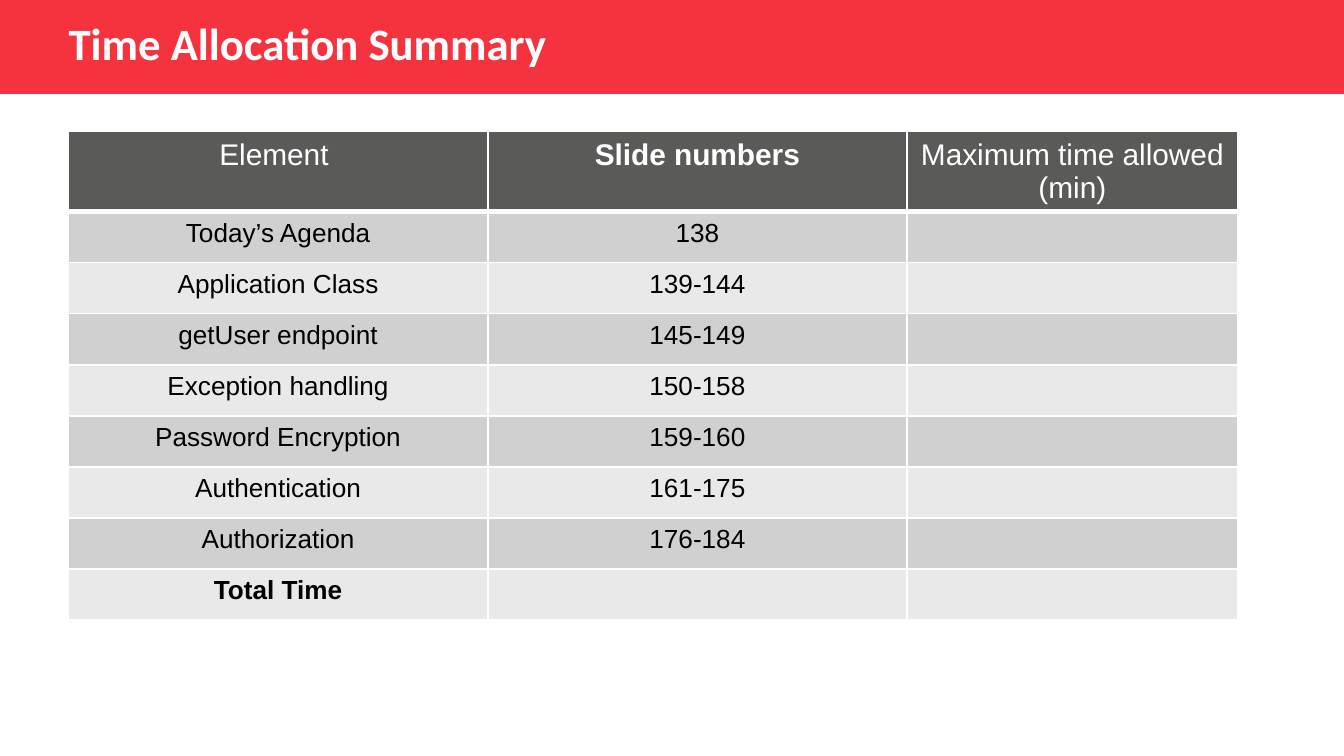
import dataclasses

import lxml.etree
import pptx
import pptx.dml.color
import pptx.enum.shapes
import pptx.enum.text
import pptx.oxml.ns
import pptx.util

Inches = pptx.util.Inches
Pt = pptx.util.Pt
qn = pptx.oxml.ns.qn


@dataclasses.dataclass(frozen=True)
class Theme:
    band: str = "F4333F"
    header: str = "5A5A59"
    stripes: tuple = ("D0D0D0", "E9E9E9")
    light: str = "FFFFFF"
    dark: str = "000000"
    title_font: str = "Calibri"
    table_font: str = "Arial"
    title_size: int = 24
    header_size: int = 16
    body_size: int = 14


THEME = Theme()

SLIDE_WIDTH = 10
SLIDE_HEIGHT = SLIDE_WIDTH * 9 / 16

ROWS = [
    ("Element ", "Slide numbers", "Maximum time allowed (min)"),
    ("Today’s Agenda", "138", ""),
    ("Application Class", "139-144", ""),
    ("getUser endpoint", "145-149", ""),
    ("Exception handling", "150-158", ""),
    ("Password Encryption", "159-160", ""),
    ("Authentication", "161-175", ""),
    ("Authorization", "176-184", ""),
    ("Total Time", "", ""),
]
BOLD_TEXTS = ("Slide numbers", "Total Time")
COLUMN_SHARES = (3.12, 3.12, 2.46)
HEADER_HEIGHT = 0.59


def rgb(code):
    return pptx.dml.color.RGBColor.from_string(code)


def paint(target, code):
    target.fill.solid()
    target.fill.fore_color.rgb = rgb(code)


def style_text(para, font, size, color, bold):
    for span in para.runs:
        span.font.name = font
        span.font.size = Pt(size)
        span.font.bold = bold
        span.font.color.rgb = rgb(color)


def set_borders(cell, bottom_width):
    properties = cell._tc.get_or_add_tcPr()
    widths = {"a:lnL": 1, "a:lnR": 1, "a:lnT": 1, "a:lnB": bottom_width}
    for position, (tag, width) in enumerate(widths.items()):
        line = lxml.etree.Element(qn(tag), w=str(Pt(width)))
        fill = lxml.etree.SubElement(line, qn("a:solidFill"))
        lxml.etree.SubElement(fill, qn("a:srgbClr"), val=THEME.light)
        properties.insert(position, line)


def add_title_band(page, left, top, width, height):
    band = page.shapes.add_shape(
        pptx.enum.shapes.MSO_SHAPE.RECTANGLE,
        Inches(left), Inches(top), Inches(width), Inches(height))
    band.shadow.inherit = False
    paint(band, THEME.band)
    band.line.fill.background()

    title = page.shapes.title
    band.element.addnext(title.element)
    title.left, title.top = Inches(left + 0.41), Inches(top - 0.11)
    title.width, title.height = Inches(6.68), Inches(height + 0.16)
    frame = title.text_frame
    frame.text = "Time Allocation Summary"
    frame.auto_size = pptx.enum.text.MSO_AUTO_SIZE.NONE
    frame.vertical_anchor = pptx.enum.text.MSO_ANCHOR.MIDDLE
    para = frame.paragraphs[0]
    para.alignment = pptx.enum.text.PP_ALIGN.LEFT
    style_text(para, THEME.title_font, THEME.title_size, THEME.light, True)


def fill_cell(cell, text, row):
    is_header = row == 0
    paint(cell, THEME.header if is_header else THEME.stripes[(row - 1) % 2])
    set_borders(cell, 3 if is_header else 1)
    para = cell.text_frame.paragraphs[0]
    if not text:
        lxml.etree.SubElement(
            para._p, qn("a:endParaRPr"), sz=str(THEME.body_size * 100))
        return
    para.text = text
    para.alignment = pptx.enum.text.PP_ALIGN.CENTER
    style_text(
        para, THEME.table_font,
        THEME.header_size if is_header else THEME.body_size,
        THEME.light if is_header else THEME.dark,
        text in BOLD_TEXTS)


def add_time_table(page, left, top, width, height):
    table = page.shapes.add_table(
        len(ROWS), len(COLUMN_SHARES),
        Inches(left), Inches(top), Inches(width), Inches(height)).table
    for column, share in zip(table.columns, COLUMN_SHARES):
        column.width = Inches(width * share / sum(COLUMN_SHARES))
    body_height = (height - HEADER_HEIGHT) / (len(ROWS) - 1)
    for number, texts in enumerate(ROWS):
        table.rows[number].height = Inches(body_height if number else HEADER_HEIGHT)
        for column, text in enumerate(texts):
            fill_cell(table.cell(number, column), text, number)


def main():
    deck = pptx.Presentation()
    deck.slide_width, deck.slide_height = Inches(SLIDE_WIDTH), Inches(SLIDE_HEIGHT)
    page = deck.slides.add_slide(deck.slide_layouts.get_by_name("Title Only"))
    add_title_band(page, 0, 0, SLIDE_WIDTH, 0.7)
    add_time_table(page, 0.51, 0.98, 8.7, 3.63)
    deck.save("out.pptx")


if __name__ == "__main__":
    main()
